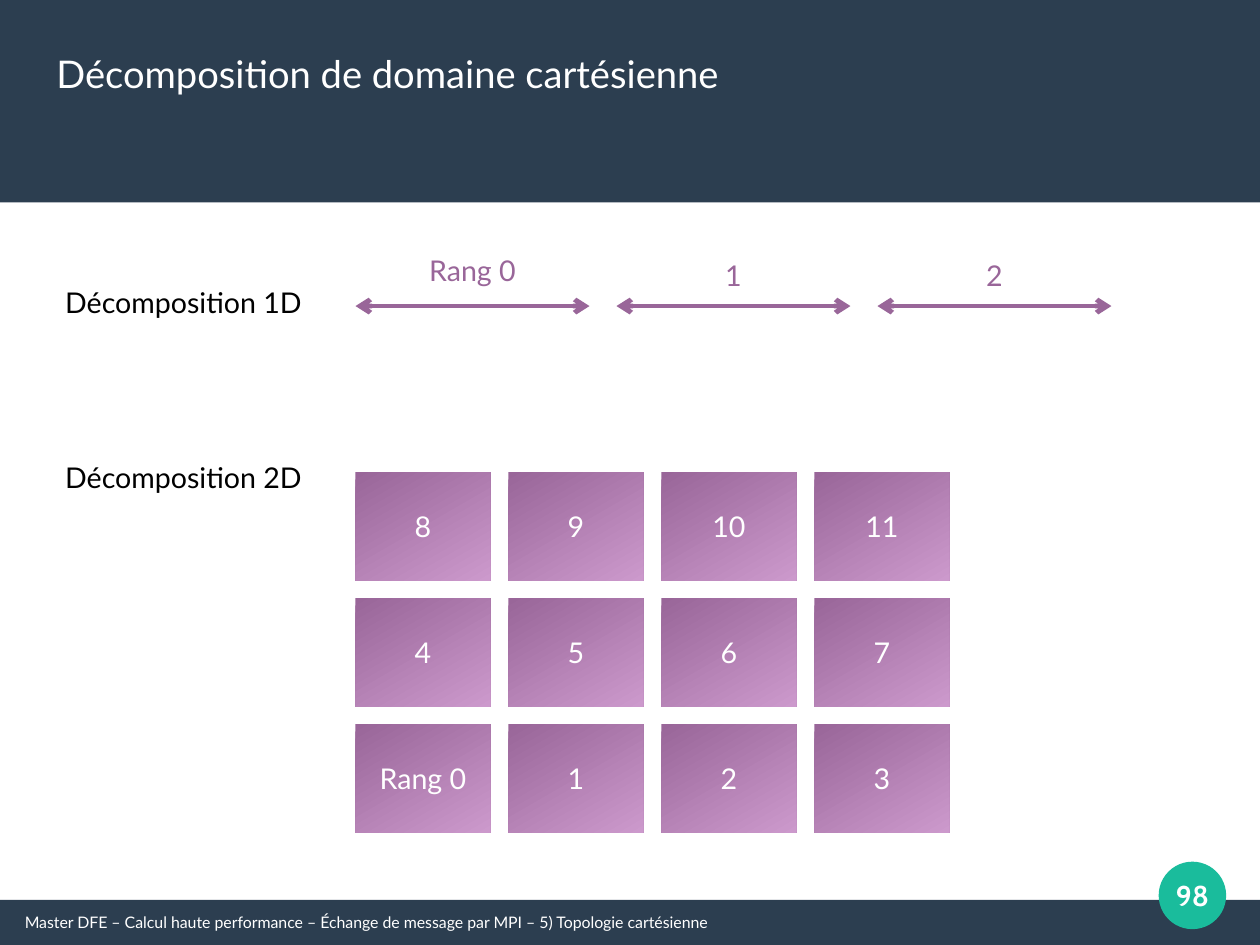
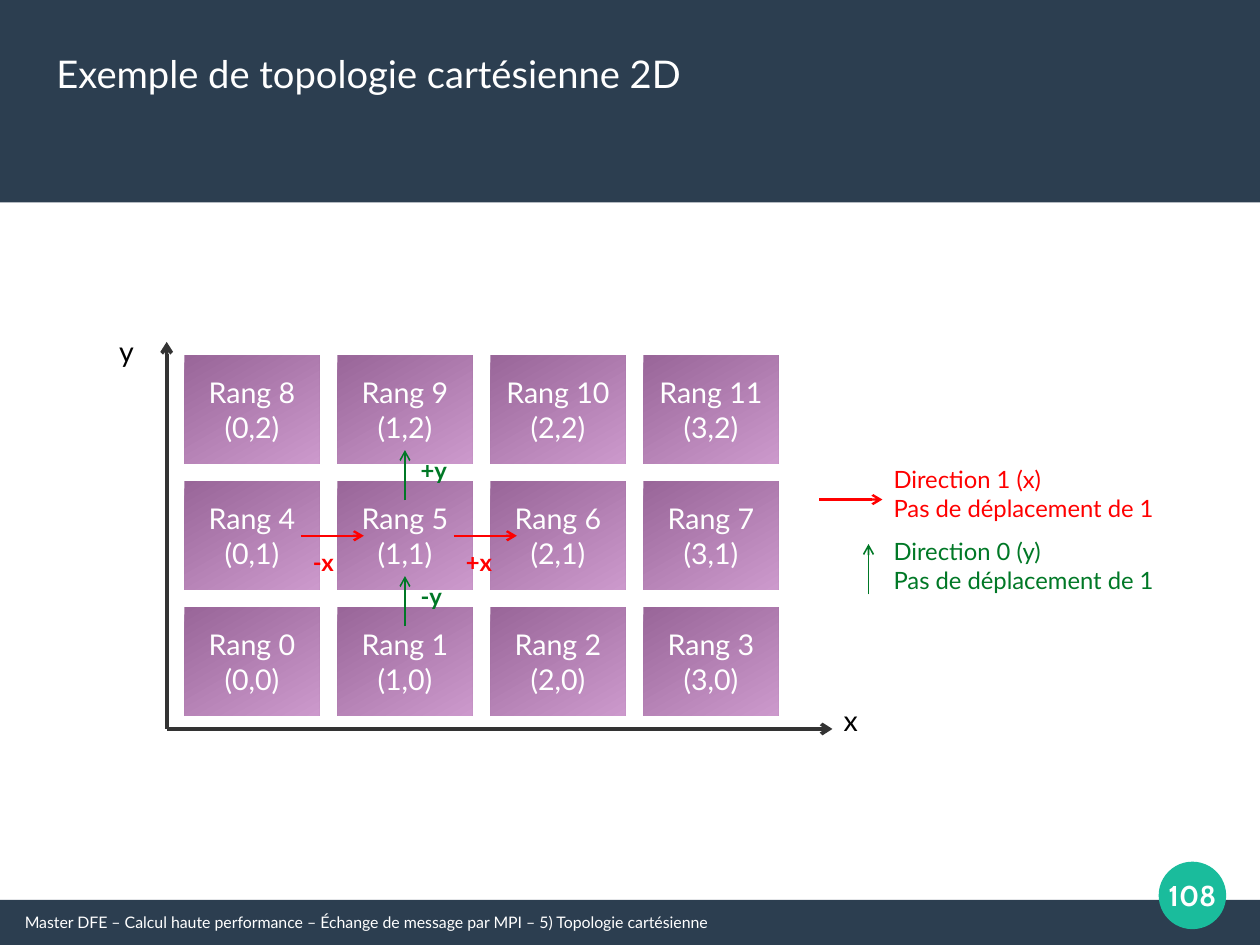
"""Build two slides about Cartesian domain decomposition and topology."""
from dataclasses import dataclass
from itertools import product

from lxml.etree import SubElement
from pptx import Presentation
from pptx.dml.color import RGBColor
from pptx.enum.shapes import MSO_CONNECTOR, MSO_SHAPE
from pptx.enum.text import MSO_ANCHOR, MSO_AUTO_SIZE, PP_ALIGN
from pptx.oxml.ns import qn
from pptx.shapes.autoshape import Shape
from pptx.slide import Slide, SlideLayout
from pptx.text.text import TextFrame
from pptx.util import Pt


@dataclass(frozen=True)
class Theme:
    navy: str = "2C3E50"
    teal: str = "1ABC9C"
    purple: str = "996699"
    lilac: str = "CC99CC"
    red: str = "FF0000"
    green: str = "007826"
    axis: str = "333333"
    black: str = "000000"
    white: str = "FFFFFF"
    font: str = "Lato"
    number_font: str = "Cabin"
    title_size: float = 24
    body_size: float = 18
    legend_size: float = 15
    footer_size: float = 10


THEME = Theme()


@dataclass(frozen=True)
class Box:
    left: float
    top: float
    width: float
    height: float


@dataclass(frozen=True)
class Style:
    color: str = THEME.black
    size: float = THEME.body_size
    bold: bool = False
    font: str = THEME.font
    align: PP_ALIGN = PP_ALIGN.LEFT
    anchor: MSO_ANCHOR = MSO_ANCHOR.TOP
    side_inset: float = 7.2
    top_inset: float = 3.6


@dataclass(frozen=True)
class Arrow:
    start: tuple[float, float]
    end: tuple[float, float]
    color: str
    width: float
    double: bool = False


@dataclass(frozen=True)
class Label:
    lines: tuple[str, ...]
    box: Box
    style: Style


PAGE_WIDTH, PAGE_HEIGHT = 793.7, 595.28
HEADER = Box(0, 0, PAGE_WIDTH, 127.56)
FOOTER = Box(0, 566.93, PAGE_WIDTH, 28.35)
BADGE = Box(729.9, 542.8, 42.52, 42.52)
BADGE_TEXT = Box(722.8, 535.7, 56.7, 56.7)
TITLE = Box(28.35, 28.35, 680.3, 61.2)
FOOTER_TEXT = Box(8.5, 571.5, 680.3, 20.9)
FOOTER_LINE = ("Master DFE – Calcul haute performance – Échange de message par MPI"
               " – 5) Topologie cartésienne")
COLUMNS, ROWS = 4, 3
CELL_WIDTH, CELL_HEIGHT = 85.04, 68.03
PITCH_X, PITCH_Y = 96.38, 79.37

TITLE_STYLE = Style(THEME.white, THEME.title_size)
FOOTER_STYLE = Style(THEME.white, THEME.footer_size)
BADGE_STYLE = Style(THEME.white, bold=True, font=THEME.number_font, align=PP_ALIGN.CENTER,
                    anchor=MSO_ANCHOR.MIDDLE, side_inset=0, top_inset=0)
CELL_STYLE = Style(THEME.white, align=PP_ALIGN.CENTER, anchor=MSO_ANCHOR.MIDDLE)
RANK_STYLE = Style(THEME.purple, align=PP_ALIGN.CENTER)


def write(frame: TextFrame, lines: tuple[str, ...], style: Style) -> None:
    """Fill a text frame with one styled paragraph per line."""
    frame.word_wrap = True
    frame.auto_size = MSO_AUTO_SIZE.NONE
    frame.vertical_anchor = style.anchor
    frame.margin_left = frame.margin_right = Pt(style.side_inset)
    frame.margin_top = frame.margin_bottom = Pt(style.top_inset)
    for index, line in enumerate(lines):
        para = frame.add_paragraph() if index else frame.paragraphs[0]
        para.alignment = style.align
        span = para.add_run()
        span.text = line
        span.font.name = style.font
        span.font.size = Pt(style.size)
        span.font.bold = style.bold
        span.font.color.rgb = RGBColor.from_string(style.color)


def add_label(page: Slide, label: Label) -> Shape:
    """Add a text box."""
    box = label.box
    shape = page.shapes.add_textbox(Pt(box.left), Pt(box.top), Pt(box.width), Pt(box.height))
    write(shape.text_frame, label.lines, label.style)
    return shape


def add_block(page: Slide, kind: MSO_SHAPE, box: Box, *colors: str) -> Shape:
    """Add a borderless shape with a solid fill, or a gradient for two colours."""
    shape = page.shapes.add_shape(kind, Pt(box.left), Pt(box.top), Pt(box.width), Pt(box.height))
    shape.shadow.inherit = False
    shape.line.fill.background()
    if len(colors) == 1:
        shape.fill.solid()
        shape.fill.fore_color.rgb = RGBColor.from_string(colors[0])
    else:
        shape.fill.gradient()
        shape.fill.gradient_angle = 300
        for stop, color in zip(shape.fill.gradient_stops, colors):
            stop.color.rgb = RGBColor.from_string(color)
    return shape


def add_arrow(page: Slide, arrow: Arrow) -> None:
    """Add a straight connector with one or two open arrowheads."""
    points = [Pt(value) for value in (*arrow.start, *arrow.end)]
    connector = page.shapes.add_connector(MSO_CONNECTOR.STRAIGHT, *points)
    connector.line.width = Pt(arrow.width)
    connector.line.color.rgb = RGBColor.from_string(arrow.color)
    line = connector.line._get_or_add_ln()
    for end in ("a:headEnd", "a:tailEnd") if arrow.double else ("a:tailEnd",):
        SubElement(line, qn(end), type="arrow")
    SubElement(connector._element.spPr, qn("a:effectLst"))


def add_grid(page: Slide, left: float, top: float, cells: dict[tuple[int, int], tuple[str, ...]]) -> None:
    """Add the process cells, with row 0 at the bottom."""
    for (column, row), lines in cells.items():
        box = Box(left + column * PITCH_X, top + (ROWS - 1 - row) * PITCH_Y, CELL_WIDTH, CELL_HEIGHT)
        cell = add_block(page, MSO_SHAPE.RECTANGLE, box, THEME.purple, THEME.lilac)
        write(cell.text_frame, lines, CELL_STYLE)


def furnish_layout(page: Slide, layout: SlideLayout) -> None:
    """Place the bands, badge and footer line on the layout behind every slide."""
    shapes = [
        add_block(page, MSO_SHAPE.RECTANGLE, FOOTER, THEME.navy),
        add_block(page, MSO_SHAPE.RECTANGLE, HEADER, THEME.navy),
        add_block(page, MSO_SHAPE.OVAL, BADGE, THEME.teal),
        add_label(page, Label((FOOTER_LINE,), FOOTER_TEXT, FOOTER_STYLE)),
    ]
    for position, shape in enumerate(shapes, start=2):
        layout.shapes._spTree.insert(position, shape._element)


def start_page(page: Slide, title: str, number: int) -> None:
    """Set the title and the page number."""
    holder = page.shapes.title
    holder.left, holder.top = Pt(TITLE.left), Pt(TITLE.top)
    holder.width, holder.height = Pt(TITLE.width), Pt(TITLE.height)
    write(holder.text_frame, (title,), TITLE_STYLE)
    add_label(page, Label((str(number),), BADGE_TEXT, BADGE_STYLE))


def build_decomposition(page: Slide) -> None:
    """Draw the 1D and 2D decompositions."""
    start_page(page, "Décomposition de domaine cartésienne", 98)
    left, pitch, length, level = 223.94, 164.4, 147.4, 192.8
    for index, (name, top) in enumerate((("Rang 0", 156), ("1", 158.7), ("2", 158.7))):
        start = left + index * pitch
        add_arrow(page, Arrow((start, level), (start + length, level), THEME.purple, 3, True))
        add_label(page, Label((name,), Box(start + 2.83, top, 141.73, 42.5), RANK_STYLE))
    for name, top in (("Décomposition 1D", 175.7), ("Décomposition 2D", 286.3)):
        add_label(page, Label((name,), Box(34, top, 170, 42.5), Style()))
    cells = {(column, row): (str(row * COLUMNS + column) if row or column else "Rang 0",)
             for row, column in product(range(ROWS), range(COLUMNS))}
    add_grid(page, left, 297.64, cells)


def build_topology(page: Slide) -> None:
    """Draw the 2D topology, its axes, its neighbour steps and the legend."""
    start_page(page, "Exemple de topologie cartésienne 2D", 108)
    cells = {(column, row): (f"Rang {row * COLUMNS + column}", f"({column},{row})")
             for row, column in product(range(ROWS), range(COLUMNS))}
    add_grid(page, 116.22, 223.94, cells)

    origin = (105, 459.2)
    for end in ((524.4, origin[1]), (origin[0], 215.4)):
        add_arrow(page, Arrow(origin, end, THEME.axis, 2.3))
    for name, box in (("y", Box(68, 206.9, 28.3, 31.7)), ("x", Box(524.4, 439.2, 56.7, 31.7))):
        add_label(page, Label((name,), box, Style()))

    step_x, step_y = 39.7, 31.7
    for left, level in ((189.5, 337.5), (189.5 + PITCH_X, 337.5), (516.2, 314.7)):
        add_arrow(page, Arrow((left, level), (left + step_x, level), THEME.red, 1.5))
    for left, bottom in ((255.1, 394.6), (255.1, 394.6 - PITCH_Y), (547.1, 374.4)):
        add_arrow(page, Arrow((left, bottom), (left, bottom - step_y), THEME.green, 1))

    signs = (
        ("-x", 190, 341.3, THEME.red),
        ("+x", 190 + PITCH_X, 341.3, THEME.red),
        ("-y", 257.9, 362.9, THEME.green),
        ("+y", 257.9, 362.9 - PITCH_Y, THEME.green),
    )
    for name, left, top, color in signs:
        style = Style(color, THEME.legend_size, bold=True)
        add_label(page, Label((name,), Box(left, top, 45.4, 27.4), style))
    for name, top, color in (("Direction 1 (x)", 289.4, THEME.red), ("Direction 0 (y)", 334.8, THEME.green)):
        lines = (name, "Pas de déplacement de 1")
        add_label(page, Label(lines, Box(555.8, top, 183, 48.2), Style(color, THEME.legend_size)))


def main() -> None:
    """Build and save the deck."""
    deck = Presentation()
    deck.slide_width, deck.slide_height = Pt(PAGE_WIDTH), Pt(PAGE_HEIGHT)
    layout = deck.slide_layouts[5]
    pages = [deck.slides.add_slide(layout) for _ in range(2)]
    furnish_layout(pages[0], layout)
    build_decomposition(pages[0])
    build_topology(pages[1])
    deck.save("out.pptx")


if __name__ == "__main__":
    main()
